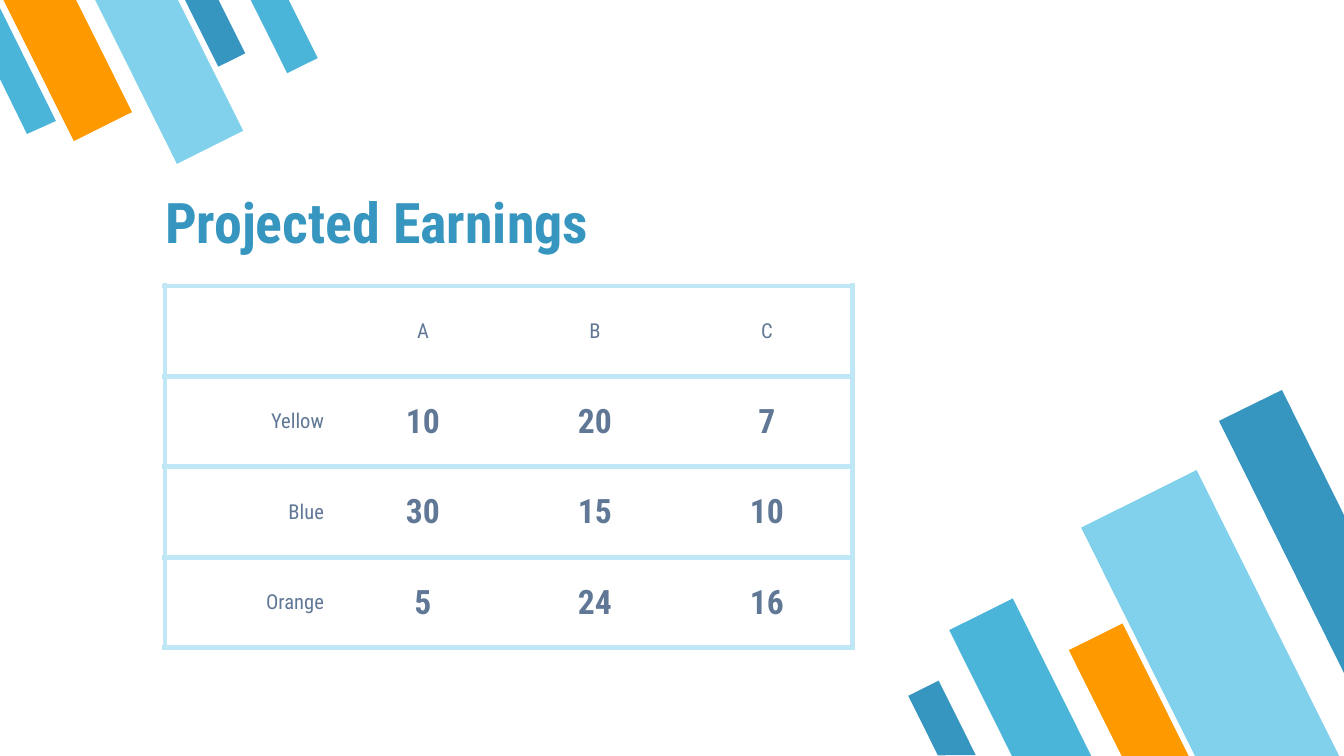
"""Build the Projected Earnings slide with its table and slanted corner bars."""
from lxml.etree import SubElement
from pptx import Presentation
from pptx.dml.color import RGBColor
from pptx.enum.shapes import MSO_SHAPE as Preset
from pptx.enum.text import MSO_ANCHOR as Anchor, MSO_AUTO_SIZE as AutoSize, PP_ALIGN as Align
from pptx.oxml.ns import qn
from pptx.util import Emu, Pt

FONT = "Roboto Condensed"
DARK_BLUE = RGBColor(0x37, 0x96, 0xBF)
BLUE = RGBColor(0x4B, 0xB5, 0xD9)
LIGHT_BLUE = RGBColor(0x81, 0xD1, 0xEC)
ORANGE = RGBColor(0xFF, 0x99, 0x00)
BORDER = RGBColor(0xC0, 0xE7, 0xF6)
SLATE = RGBColor(0x60, 0x78, 0x96)
WHITE = RGBColor(0xFF, 0xFF, 0xFF)
SCALE = 914400 / 134.4


def px(*lengths):
    return [Emu(round(length * SCALE)) for length in lengths]


def paint(shape, color):
    shape.shadow.inherit = False
    shape.fill.solid()
    shape.fill.fore_color.rgb = color
    shape.line.fill.background()


deck = Presentation()
deck.slide_width, deck.slide_height = px(1344, 756)
page = deck.slides.add_slide(deck.slide_layouts[5])

bars = [
    (985, 605, 71, 177, 153.5, BLUE),
    (1146, 482, 129, 321, 153.5, LIGHT_BLUE),
    (1099, 629, 60, 149, 153.5, ORANGE),
    (925, 684, 34, 83, 153.5, DARK_BLUE),
    (200, -11, 30, 75, 333.5, DARK_BLUE),
    (35, -24, 65, 159, 333.5, ORANGE),
    (132, -27, 74, 184, 333.5, LIGHT_BLUE),
    (267, -13, 34, 83, 333.5, BLUE),
]
for left, top, width, height, angle, color in bars:
    bar = page.shapes.add_shape(Preset.FLOWCHART_MANUAL_INPUT, *px(left, top, width, height))
    bar.rotation = angle
    bar._element.spPr.find(qn("a:xfrm")).set("flipH", "1")
    paint(bar, color)

edge_bars = [
    ([(1282, 390), (1219, 421), (1344, 673), (1344, 515)], DARK_BLUE),
    ([(27, 134), (56, 121), (0, 8), (0, 79)], BLUE),
]
for corners, color in edge_bars:
    builder = page.shapes.build_freeform(*corners[0], scale=SCALE)
    builder.add_line_segments(corners[1:], close=True)
    paint(builder.convert_to_shape(), color)

title = page.shapes.title
title.left, title.top, title.width, title.height = px(152, 169, 847, 99)
frame = title.text_frame
frame.text = "Projected Earnings"
frame.auto_size = AutoSize.NONE
frame.word_wrap = True
frame.vertical_anchor = Anchor.BOTTOM
frame.margin_left, frame.margin_top, frame.margin_right, frame.margin_bottom = px(13, 13, 13, 13)
para = frame.paragraphs[0]
para.alignment = Align.LEFT
para.font.name = FONT
para.font.size = Pt(30)
para.font.bold = True
para.font.color.rgb = DARK_BLUE

earnings = [
    ("", "A", "B", "C"),
    ("Yellow", "10", "20", "7"),
    ("Blue", "30", "15", "10"),
    ("Orange", "5", "24", "16"),
]
table = page.shapes.add_table(4, 4, *px(165, 286, 688, 362)).table
table.first_row = False
table.horz_banding = False
for row, values in enumerate(earnings):
    for column, value in enumerate(values):
        cell = table.cell(row, column)
        cell.text = value
        cell.vertical_anchor = Anchor.MIDDLE
        cell.margin_left, cell.margin_right, cell.margin_top, cell.margin_bottom = px(13, 13, 9, 9)
        is_number = row > 0 and column > 0
        para = cell.text_frame.paragraphs[0]
        para.alignment = Align.CENTER if column else Align.RIGHT
        para.font.name = FONT
        para.font.size = Pt(18 if is_number else 11)
        para.font.bold = is_number
        para.font.color.rgb = SLATE
        sides = {"a:lnL": column == 0, "a:lnR": column == 3, "a:lnT": True, "a:lnB": True}
        properties = cell._tc.get_or_add_tcPr()
        for side, visible in sides.items():
            line = SubElement(properties, qn(side), w=str(Pt(3)))
            if visible:
                SubElement(SubElement(line, qn("a:solidFill")), qn("a:srgbClr"), val=str(BORDER))
            else:
                SubElement(line, qn("a:noFill"))
        cell.fill.solid()
        cell.fill.fore_color.rgb = WHITE

deck.save("out.pptx")
